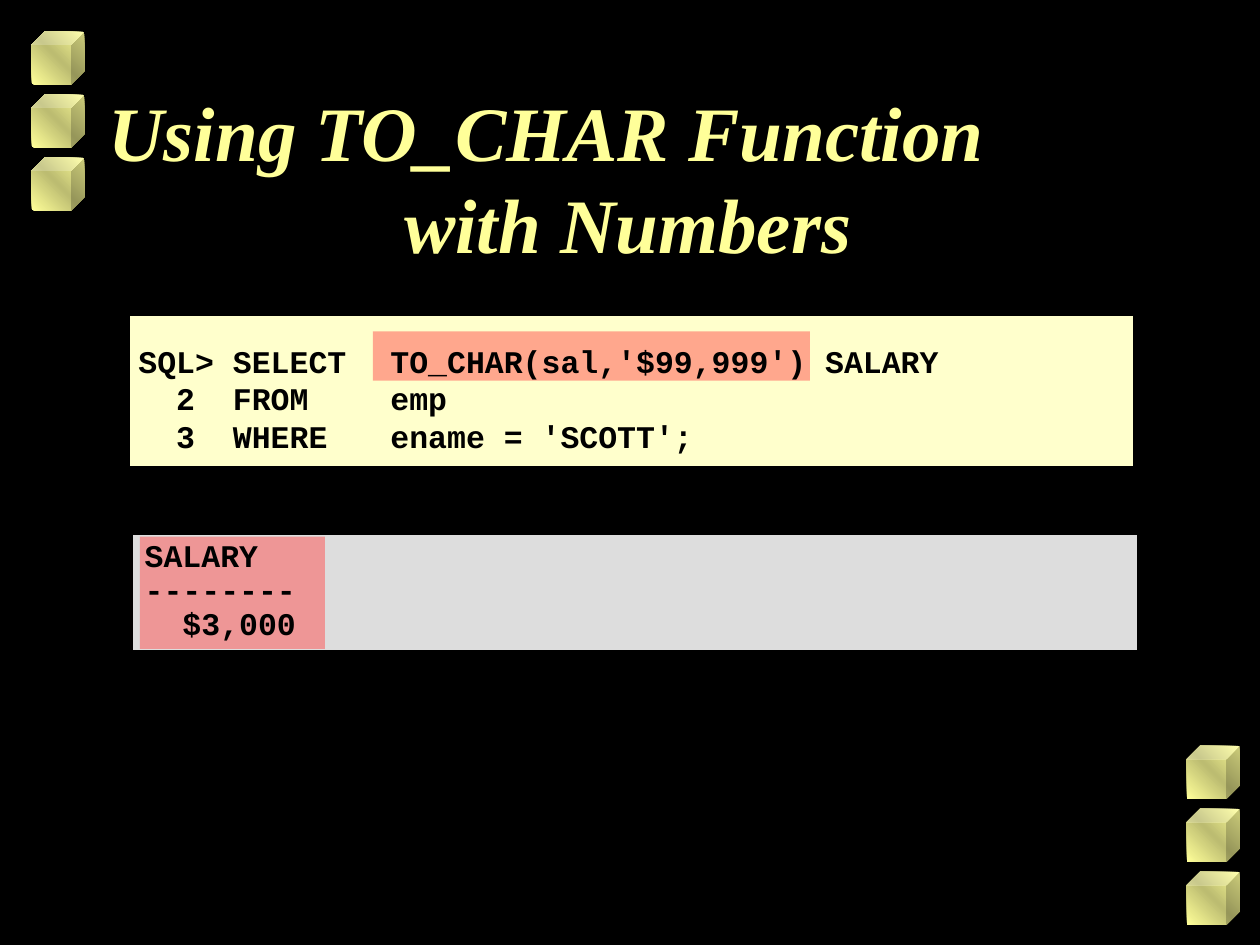
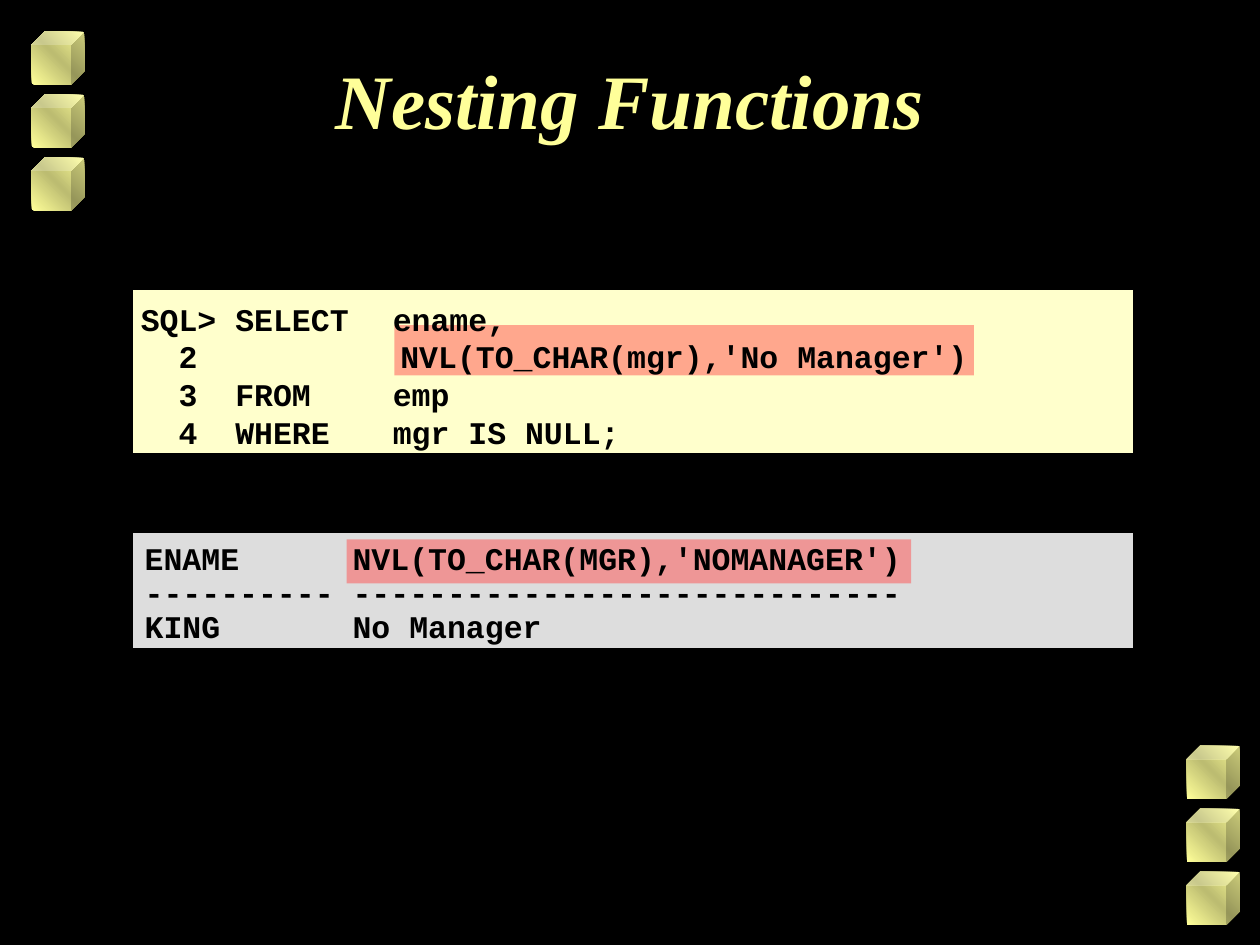
import pptx
import pptx.util
import pptx.dml.color
import pptx.enum.shapes
import pptx.enum.text
import pptx.oxml
import pptx.oxml.ns

Pt = pptx.util.Pt
RGBColor = pptx.dml.color.RGBColor
Align = pptx.enum.text.PP_ALIGN
Anchor = pptx.enum.text.MSO_ANCHOR
Shape = pptx.enum.shapes.MSO_SHAPE

BLACK = RGBColor(0x00, 0x00, 0x00)
PALE_YELLOW = RGBColor(0xFF, 0xFF, 0x99)
OLIVE = RGBColor(0xBC, 0xBC, 0x71)
CODE_FILL = RGBColor(0xFF, 0xFF, 0xCC)
RESULT_FILL = RGBColor(0xDD, 0xDD, 0xDD)
HIGHLIGHT_FILL = RGBColor(0xFF, 0x50, 0x50)

TITLE_FONT = {"name": "Times New Roman", "size": Pt(44), "bold": True, "italic": True}
CODE_FONT = {"name": "Courier New", "size": Pt(18), "bold": True}
TITLE_FRAME = {"margin_top": Pt(6.6), "vertical_anchor": Anchor.TOP}
CODE_FRAME = {"margin_top": Pt(7.6), "vertical_anchor": Anchor.MIDDLE}
RESULT_FRAME = {"margin_top": Pt(5.6), "vertical_anchor": Anchor.TOP}
TITLE_PITCH, CODE_PITCH, RESULT_PITCH = 52.5, 21.5, 19.4
TAB_STOPS = (94.3, 144)

CUBE_SIZE, CUBE_STEP = 30.2, 36
CUBE_COLUMNS = ((18, 18), (678.2, 426.2))

SLIDES = (
    {
        "title": (("Using TO_CHAR Function", Align.LEFT), ("with Numbers", Align.CENTER)),
        "title_box": (54.7, 41.8, 608.4, 69.1),
        "code_panel": (73.4, 179.3, 575.3, 87.8),
        "result_panel": (74.9, 304.6, 576, 67.7),
        "highlights": ((213.1, 189.4, 249.8, 28.1), (79.9, 306.7, 105.8, 64.1)),
        "code_box": (72, 169.2, 577.4, 113),
        "code": (
            "SQL> SELECT\tTO_CHAR(sal,'$99,999') SALARY",
            "  2  FROM\temp",
            "  3  WHERE\tename = 'SCOTT';",
        ),
        "result_box": (75.6, 303.1, 571.7, 65.5),
        "result": ("SALARY", "--------", "  $3,000"),
    },
    {
        "title": (("Nesting Functions", Align.CENTER),),
        "title_box": (54, 23.8, 612, 90),
        "code_panel": (74.9, 164.9, 573.8, 95),
        "result_panel": (74.9, 303.8, 573.8, 67.7),
        "highlights": ((225.4, 185.8, 331.2, 28.8), (198, 308.2, 322.6, 25.2)),
        "code_box": (73.4, 154.8, 576, 115.2),
        "code": (
            "SQL> SELECT\tename,",
            "  2\t     NVL(TO_CHAR(mgr),'No Manager')",
            "  3  FROM\temp",
            "  4  WHERE\tmgr IS NULL;",
        ),
        "result_box": (75.6, 304.6, 571.7, 65.5),
        "result": (
            "ENAME      NVL(TO_CHAR(MGR),'NOMANAGER')",
            "---------- -----------------------------",
            "KING       No Manager",
        ),
    },
)


def apply_format(target, values):
    for name, value in values.items():
        setattr(target, name, value)


def add_child(parent, tag, **attributes):
    child = parent.makeelement(pptx.oxml.ns.qn(tag), attributes)
    parent.append(child)
    return child


def add_plain_shape(slide, kind, box):
    shape = slide.shapes.add_shape(kind, *map(Pt, box))
    shape.shadow.inherit = False
    shape.line.fill.background()
    return shape


def add_cube(slide, left, top):
    cube = add_plain_shape(slide, Shape.CUBE, (left, top, CUBE_SIZE, CUBE_SIZE))
    cube.fill.gradient()
    gradient = cube._element.spPr.find(pptx.oxml.ns.qn("a:gradFill"))
    for child in list(gradient):
        gradient.remove(child)
    stops = add_child(gradient, "a:gsLst")
    for position, color in ((0, PALE_YELLOW), (50, OLIVE), (100, PALE_YELLOW)):
        stop = add_child(stops, "a:gs", pos=str(position * 1000))
        add_child(stop, "a:srgbClr", val=str(color))
    add_child(gradient, "a:lin", ang=str(315 * 60000), scaled="0")


def add_cubes(slide):
    for left, top in CUBE_COLUMNS:
        for row in range(3):
            add_cube(slide, left, top + row * CUBE_STEP)


def add_panel(slide, box, color):
    panel = add_plain_shape(slide, Shape.RECTANGLE, box)
    panel.fill.solid()
    panel.fill.fore_color.rgb = color
    panel.line.color.rgb = BLACK
    panel.line.width = Pt(2)


def add_highlight(slide, box):
    highlight = add_plain_shape(slide, Shape.RECTANGLE, box)
    highlight.fill.solid()
    highlight.fill.fore_color.rgb = HIGHLIGHT_FILL
    color = highlight._element.spPr.find(".//" + pptx.oxml.ns.qn("a:srgbClr"))
    add_child(color, "a:alpha", val="50000")


def write_paragraph(paragraph, text, pitch, font, color, alignment):
    paragraph.alignment = alignment
    paragraph.line_spacing = Pt(pitch)
    run = paragraph.add_run()
    run.text = text
    apply_format(run.font, font)
    run.font.color.rgb = color


def paragraphs_for(frame, count):
    return [frame.paragraphs[0]] + [frame.add_paragraph() for _ in range(count - 1)]


def set_title(slide, lines, box):
    title = slide.shapes.title
    apply_format(title, dict(zip(("left", "top", "width", "height"), map(Pt, box))))
    frame = title.text_frame
    apply_format(frame, {"auto_size": pptx.enum.text.MSO_AUTO_SIZE.NONE, **TITLE_FRAME})
    for paragraph, (text, alignment) in zip(paragraphs_for(frame, len(lines)), lines):
        write_paragraph(paragraph, text, TITLE_PITCH, TITLE_FONT, PALE_YELLOW, alignment)


def add_listing(slide, box, lines, frame_format, pitch):
    frame = slide.shapes.add_textbox(*map(Pt, box)).text_frame
    apply_format(frame, {"word_wrap": True, **frame_format})
    for paragraph, text in zip(paragraphs_for(frame, len(lines)), lines):
        tabs = add_child(paragraph._p.get_or_add_pPr(), "a:tabLst")
        for stop in TAB_STOPS:
            add_child(tabs, "a:tab", pos=str(Pt(stop)), algn="l")
        write_paragraph(paragraph, text, pitch, CODE_FONT, BLACK, Align.LEFT)


def build_slide(presentation, content):
    slide = presentation.slides.add_slide(presentation.slide_layouts[5])
    add_cubes(slide)
    add_panel(slide, content["code_panel"], CODE_FILL)
    add_panel(slide, content["result_panel"], RESULT_FILL)
    set_title(slide, content["title"], content["title_box"])
    for box in content["highlights"]:
        add_highlight(slide, box)
    add_listing(slide, content["code_box"], content["code"], CODE_FRAME, CODE_PITCH)
    add_listing(slide, content["result_box"], content["result"], RESULT_FRAME, RESULT_PITCH)


def main():
    presentation = pptx.Presentation()
    presentation.slide_width = Pt(720)
    presentation.slide_height = Pt(540)
    background = presentation.slide_master.background.fill
    background.solid()
    background.fore_color.rgb = BLACK
    for content in SLIDES:
        build_slide(presentation, content)
    presentation.save("out.pptx")


if __name__ == "__main__":
    main()
